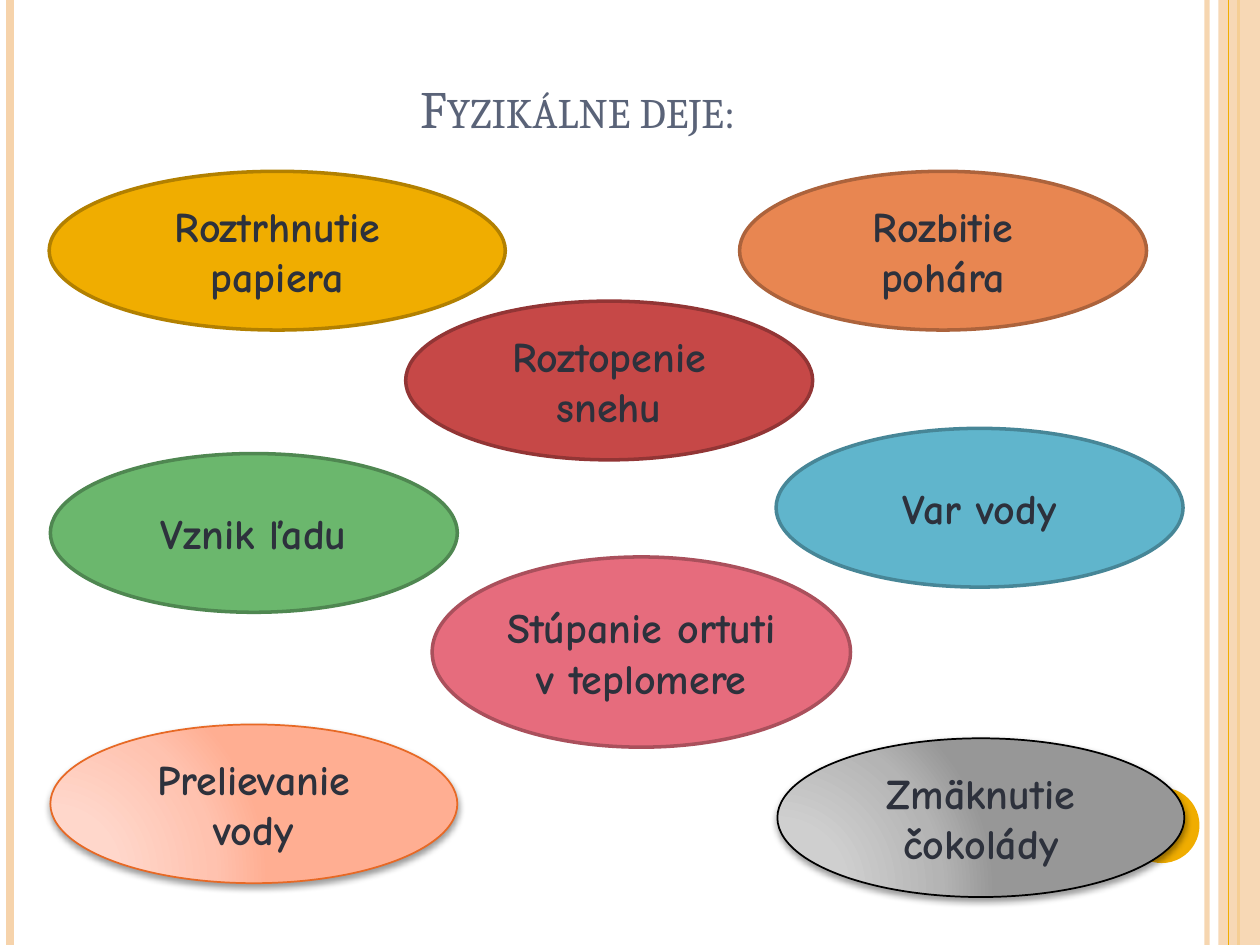
from lxml import etree
from pptx import Presentation
from pptx.dml.color import RGBColor
from pptx.enum.shapes import MSO_CONNECTOR, MSO_SHAPE
from pptx.enum.text import MSO_ANCHOR, PP_ALIGN
from pptx.oxml import parse_xml
from pptx.oxml.ns import nsdecls, qn
from pptx.util import Inches, Pt

STRAIGHT = MSO_CONNECTOR.STRAIGHT
OVAL, RECTANGLE = MSO_SHAPE.OVAL, MSO_SHAPE.RECTANGLE
CENTER = PP_ALIGN.CENTER
MIDDLE, BOTTOM = MSO_ANCHOR.MIDDLE, MSO_ANCHOR.BOTTOM

PEACH = RGBColor(0xF6, 0xD3, 0xAB)
AMBER = RGBColor(0xF0, 0xAD, 0x00)
AMBER_EDGE = RGBColor(0xB2, 0x80, 0x00)
ORANGE = RGBColor(0xE8, 0x86, 0x51)
ORANGE_EDGE = RGBColor(0xAC, 0x63, 0x3C)
RED = RGBColor(0xC6, 0x48, 0x47)
RED_EDGE = RGBColor(0x92, 0x35, 0x35)
GREEN = RGBColor(0x6B, 0xB7, 0x6D)
GREEN_EDGE = RGBColor(0x4F, 0x87, 0x51)
BLUE = RGBColor(0x60, 0xB5, 0xCC)
BLUE_EDGE = RGBColor(0x47, 0x86, 0x97)
PINK = RGBColor(0xE6, 0x6C, 0x7D)
PINK_EDGE = RGBColor(0xAA, 0x50, 0x5C)
SALMON_EDGE = RGBColor(0xE7, 0x69, 0x25)
BLACK = RGBColor(0, 0, 0)
TITLE_COLOR = RGBColor(0x5A, 0x63, 0x78)
TEXT_COLOR = RGBColor(0x2D, 0x31, 0x3C)

GRADIENT_STOPS = (0, 30, 75, 100)
SALMON_SHADES = [RGBColor.from_string(c) for c in ("FFDACF", "FFD7CB", "FFC2AF", "FFAE92")]
GRAY_SHADES = [RGBColor.from_string(c) for c in ("D3D3D3", "CFCFCF", "B4B4B4", "979797")]

# text, left, top, width, height, fill, outline
PROCESSES = [
    ("Roztrhnutie papiera", 0.39, 1.36, 3.62, 1.26, AMBER, AMBER_EDGE),
    ("Rozbitie pohára", 5.87, 1.36, 3.23, 1.26, ORANGE, ORANGE_EDGE),
    ("Roztopenie snehu", 3.22, 2.39, 3.23, 1.26, RED, RED_EDGE),
    ("Vznik ľadu", 0.4, 3.6, 3.23, 1.26, GREEN, GREEN_EDGE),
    ("Var vody", 6.16, 3.4, 3.23, 1.26, BLUE, BLUE_EDGE),
    ("Stúpanie ortuti v teplomere", 3.43, 4.42, 3.32, 1.51, PINK, PINK_EDGE),
]
SHADED_PROCESSES = [
    ("Prelievanie vody", 0.4, 5.75, 3.23, 1.26, SALMON_SHADES, SALMON_EDGE),
    ("Zmäknutie čokolády", 6.17, 5.86, 3.23, 1.26, GRAY_SHADES, BLACK),
]


def set_alpha(color_parent, percent):
    color = color_parent.find(".//" + qn("a:srgbClr"))
    etree.SubElement(color, qn("a:alpha")).set("val", str(percent * 1000))


def write_text(shape, text, *, font, size, color, anchor, bold=False, small_caps=False):
    frame = shape.text_frame
    frame.word_wrap = True
    frame.vertical_anchor = anchor
    paragraph = frame.paragraphs[0]
    paragraph.alignment = CENTER
    run = paragraph.add_run()
    run.text = text
    run.font.name = font
    run.font.size = Pt(size)
    run.font.bold = bold
    run.font.color.rgb = color
    if small_caps:
        run.font._element.set("cap", "small")


def add_stripe(slide, x, color, width, opacity=100):
    stripe = slide.shapes.add_connector(STRAIGHT, Inches(x), 0, Inches(x), Inches(7.5))
    stripe.line.color.rgb = color
    stripe.line.width = Pt(width)
    properties = stripe._element.spPr
    if opacity < 100:
        set_alpha(properties, opacity)
    etree.SubElement(properties, qn("a:effectLst"))


def add_filled(slide, kind, left, top, width, height, fill):
    shape = slide.shapes.add_shape(
        kind, Inches(left), Inches(top), Inches(width), Inches(height))
    shape.shadow.inherit = False
    shape.fill.solid()
    shape.fill.fore_color.rgb = fill
    shape.line.fill.background()
    return shape


def add_process(slide, text, left, top, width, height, fill, outline, line_width=2):
    oval = add_filled(slide, OVAL, left, top, width, height, fill)
    oval.line.color.rgb = outline
    oval.line.width = Pt(line_width)
    write_text(oval, text, font="Comic Neue", size=24, color=TEXT_COLOR,
               anchor=MIDDLE, bold=True)
    return oval


def add_shaded_process(slide, text, left, top, width, height, shades, outline):
    """Add an oval with a radial gradient and a soft shadow below it."""
    oval = add_process(slide, text, left, top, width, height, shades[-1], outline, 1)
    properties = oval._element.spPr
    stops = "".join(
        f'<a:gs pos="{stop * 1000}"><a:srgbClr val="{shade}"/></a:gs>'
        for stop, shade in zip(GRADIENT_STOPS, shades))
    gradient = parse_xml(
        f'<a:gradFill {nsdecls("a")} rotWithShape="1"><a:gsLst>{stops}</a:gsLst>'
        '<a:path path="circle"><a:fillToRect l="5000" t="100000" r="120000" b="10000"/>'
        '</a:path></a:gradFill>')
    properties.replace(properties.find(qn("a:solidFill")), gradient)
    properties.find(qn("a:effectLst")).append(parse_xml(
        f'<a:outerShdw {nsdecls("a")} blurRad="{Pt(4)}" dist="{Pt(2)}" dir="5400000" '
        'rotWithShape="0"><a:srgbClr val="000000"><a:alpha val="40000"/></a:srgbClr>'
        '</a:outerShdw>'))


def add_side_decoration(slide):
    add_stripe(slide, 9.58, PEACH, 3, opacity=93)
    add_stripe(slide, 0.08, PEACH, 4.5)
    add_stripe(slide, 9.83, AMBER, 1.5)
    band = add_filled(slide, RECTANGLE, 9.67, 0, 0.33, 7.5, PEACH)
    set_alpha(band._element.spPr, 87)
    add_stripe(slide, 9.75, AMBER, 0.75)
    add_filled(slide, OVAL, 8.92, 6.25, 0.6, 0.6, AMBER)


def format_title(slide):
    title = slide.shapes.title
    title.left, title.top = Inches(0.5), Inches(0.3)
    title.width, title.height = Inches(8.17), Inches(0.85)
    write_text(title, "Fyzikálne deje:", font="Cambria", size=30, color=TITLE_COLOR,
               anchor=BOTTOM, small_caps=True)


def main():
    presentation = Presentation()
    presentation.slide_width, presentation.slide_height = Inches(10), Inches(7.5)
    slide = presentation.slides.add_slide(presentation.slide_layouts[5])
    add_side_decoration(slide)
    format_title(slide)
    for process in PROCESSES:
        add_process(slide, *process)
    for process in SHADED_PROCESSES:
        add_shaded_process(slide, *process)
    presentation.save("out.pptx")


if __name__ == "__main__":
    main()
